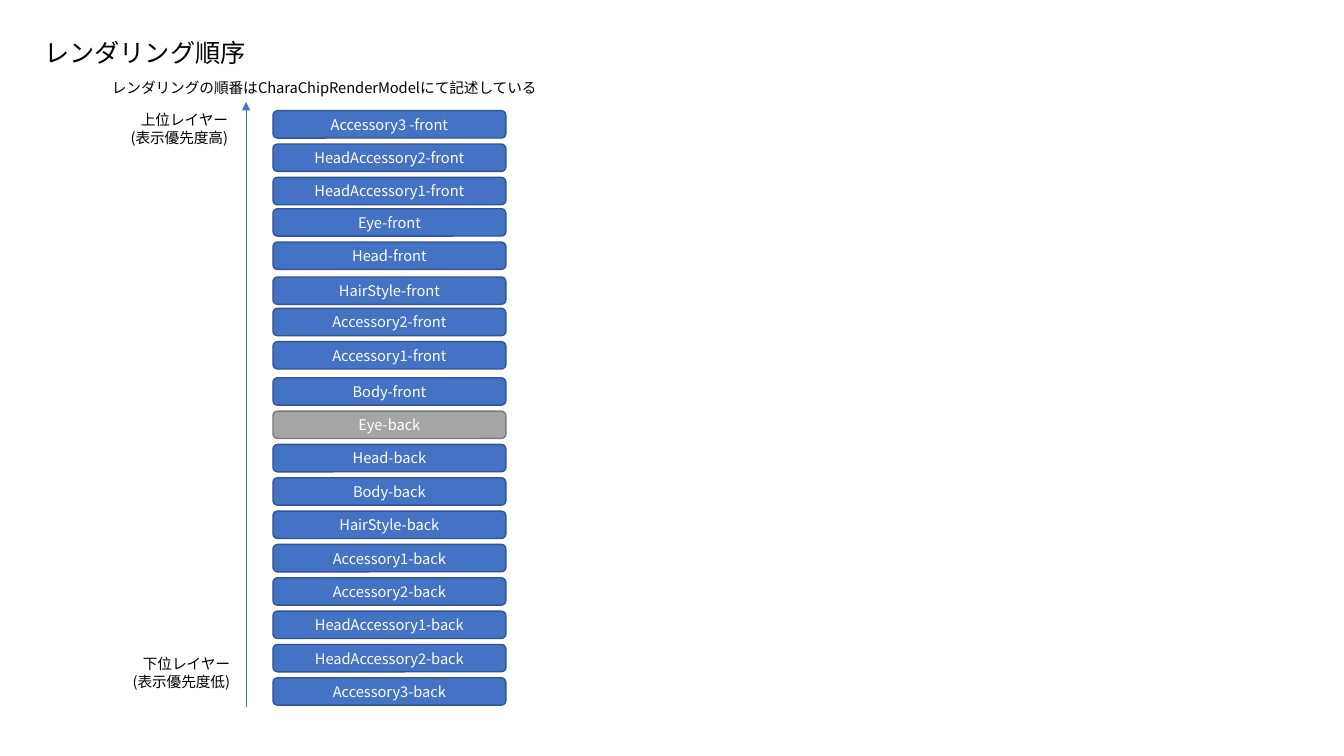
from dataclasses import dataclass

from lxml import etree
from pptx import Presentation
from pptx.dml.color import RGBColor
from pptx.enum.shapes import MSO_CONNECTOR, MSO_SHAPE
from pptx.enum.text import MSO_ANCHOR, MSO_AUTO_SIZE, PP_ALIGN
from pptx.oxml.ns import qn
from pptx.slide import Slide
from pptx.text.text import TextFrame
from pptx.util import Cm, Pt

STRAIGHT = MSO_CONNECTOR.STRAIGHT
ROUNDED = MSO_SHAPE.ROUNDED_RECTANGLE
TOP, MIDDLE = MSO_ANCHOR.TOP, MSO_ANCHOR.MIDDLE
FIT_TEXT = MSO_AUTO_SIZE.SHAPE_TO_FIT_TEXT
LEFT, CENTER, RIGHT = PP_ALIGN.LEFT, PP_ALIGN.CENTER, PP_ALIGN.RIGHT
TITLE_ONLY = 5


@dataclass(frozen=True)
class Theme:
    font: str = "Noto Sans CJK JP"
    title_size: float = 18
    text_size: float = 10.5
    text: str = "000000"
    layer_text: str = "FFFFFF"
    layer_fill: str = "4472C4"
    layer_line: str = "325491"
    muted_fill: str = "A5A5A5"
    muted_line: str = "7A7A7A"


@dataclass(frozen=True)
class Label:
    lines: tuple[str, ...]
    left: float
    top: float
    width: float
    height: float
    align: PP_ALIGN
    wrap: bool


@dataclass(frozen=True)
class LayerGroup:
    """Layers stacked downwards from top at the common pitch."""
    top: float
    names: tuple[str, ...]


THEME = Theme()
LAYER_LEFT, LAYER_WIDTH, LAYER_HEIGHT, LAYER_PITCH = 6.88, 5.87, 0.69, 0.84
ARROW_X, ARROW_BOTTOM, ARROW_TOP = 6.2, 17.81, 2.57
MUTED_LAYERS = ("Eye-back",)

TITLE = Label(("レンダリング順序",), 0.86, 0.81, 5.64, 1.02, LEFT, False)
LABELS = (
    Label(("レンダリングの順番はCharaChipRenderModelにて記述している",),
          2.57, 1.85, 11.38, 0.71, LEFT, False),
    Label(("上位レイヤー", "(表示優先度高)"), 2.95, 2.67, 3.05, 1.14, RIGHT, True),
    Label(("下位レイヤー", "(表示優先度低)"), 3.0, 16.38, 3.05, 1.14, RIGHT, True),
)
LAYER_GROUPS = (
    LayerGroup(2.79, ("Accessory3 -front", "HeadAccessory2-front",
                      "HeadAccessory1-front")),
    LayerGroup(5.26, ("Eye-front", "Head-front")),
    LayerGroup(6.98, ("HairStyle-front",)),
    LayerGroup(7.77, ("Accessory2-front", "Accessory1-front")),
    LayerGroup(9.52, ("Body-front", "Eye-back", "Head-back", "Body-back",
                      "HairStyle-back", "Accessory1-back", "Accessory2-back",
                      "HeadAccessory1-back", "HeadAccessory2-back",
                      "Accessory3-back")),
)


def write_lines(frame: TextFrame, lines: tuple[str, ...], size: float,
                color: str, align: PP_ALIGN) -> None:
    for index, line in enumerate(lines):
        para = frame.add_paragraph() if index else frame.paragraphs[0]
        para.alignment = align
        span = para.add_run()
        span.text = line
        span.font.size = Pt(size)
        span.font.color.rgb = RGBColor.from_string(color)
        span.font.name = THEME.font
        east_asian = etree.SubElement(span.font._element, qn("a:ea"))
        east_asian.set("typeface", THEME.font)


def fill_label(box, label: Label, size: float) -> None:
    """Place a text box or placeholder and write its label."""
    box.left, box.top = Cm(label.left), Cm(label.top)
    box.width, box.height = Cm(label.width), Cm(label.height)
    frame = box.text_frame
    frame.word_wrap = label.wrap
    frame.auto_size = FIT_TEXT
    frame.vertical_anchor = TOP
    write_lines(frame, label.lines, size, THEME.text, label.align)


def add_priority_arrow(page: Slide) -> None:
    arrow = page.shapes.add_connector(STRAIGHT, Cm(ARROW_X), Cm(ARROW_BOTTOM),
                                      Cm(ARROW_X), Cm(ARROW_TOP))
    arrow.line.color.rgb = RGBColor.from_string(THEME.layer_fill)
    arrow.line.width = Pt(0.5)
    head = etree.SubElement(arrow.line._get_or_add_ln(), qn("a:tailEnd"))
    head.set("type", "triangle")
    etree.SubElement(arrow._element.spPr, qn("a:effectLst"))


def add_layer(page: Slide, name: str, top: float) -> None:
    muted = name in MUTED_LAYERS
    fill = THEME.muted_fill if muted else THEME.layer_fill
    line = THEME.muted_line if muted else THEME.layer_line
    box = page.shapes.add_shape(ROUNDED, Cm(LAYER_LEFT), Cm(top),
                                Cm(LAYER_WIDTH), Cm(LAYER_HEIGHT))
    box.shadow.inherit = False
    box.fill.solid()
    box.fill.fore_color.rgb = RGBColor.from_string(fill)
    box.line.color.rgb = RGBColor.from_string(line)
    box.line.width = Pt(1)
    box.text_frame.vertical_anchor = MIDDLE
    write_lines(box.text_frame, (name,), THEME.text_size, THEME.layer_text, CENTER)


def main() -> None:
    deck = Presentation()
    deck.slide_width, deck.slide_height = Cm(33.87), Cm(19.05)
    page = deck.slides.add_slide(deck.slide_layouts[TITLE_ONLY])

    fill_label(page.shapes.title, TITLE, THEME.title_size)
    for label in LABELS:
        box = page.shapes.add_textbox(0, 0, 0, 0)
        fill_label(box, label, THEME.text_size)
    add_priority_arrow(page)
    for group in LAYER_GROUPS:
        for index, name in enumerate(group.names):
            add_layer(page, name, group.top + index * LAYER_PITCH)

    deck.save("out.pptx")


if __name__ == "__main__":
    main()
